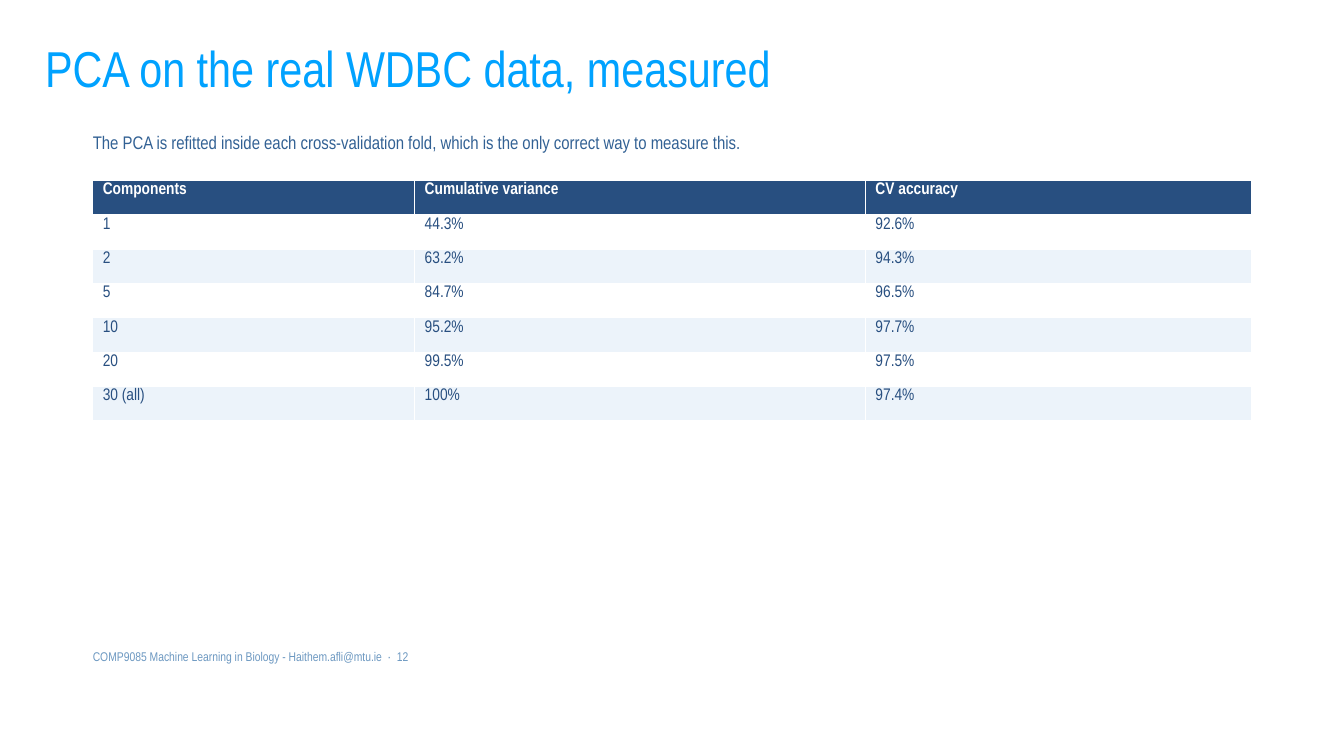
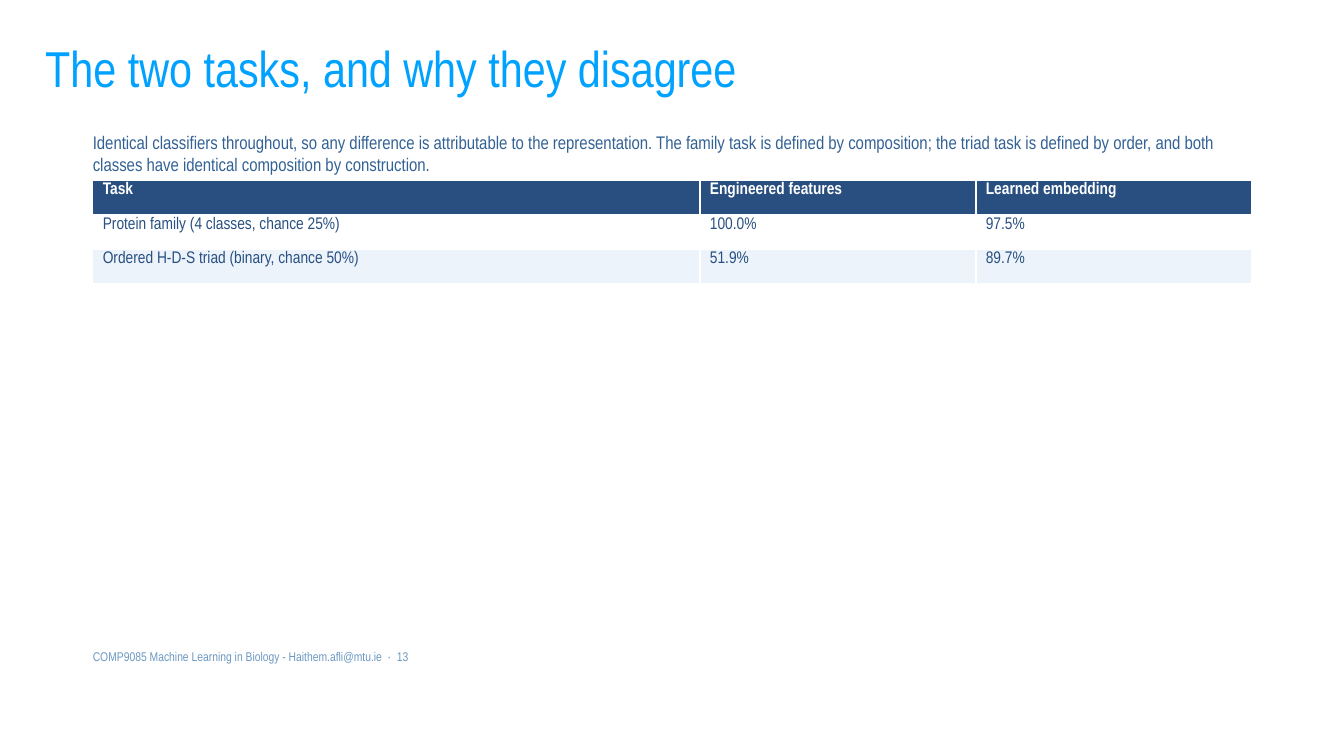
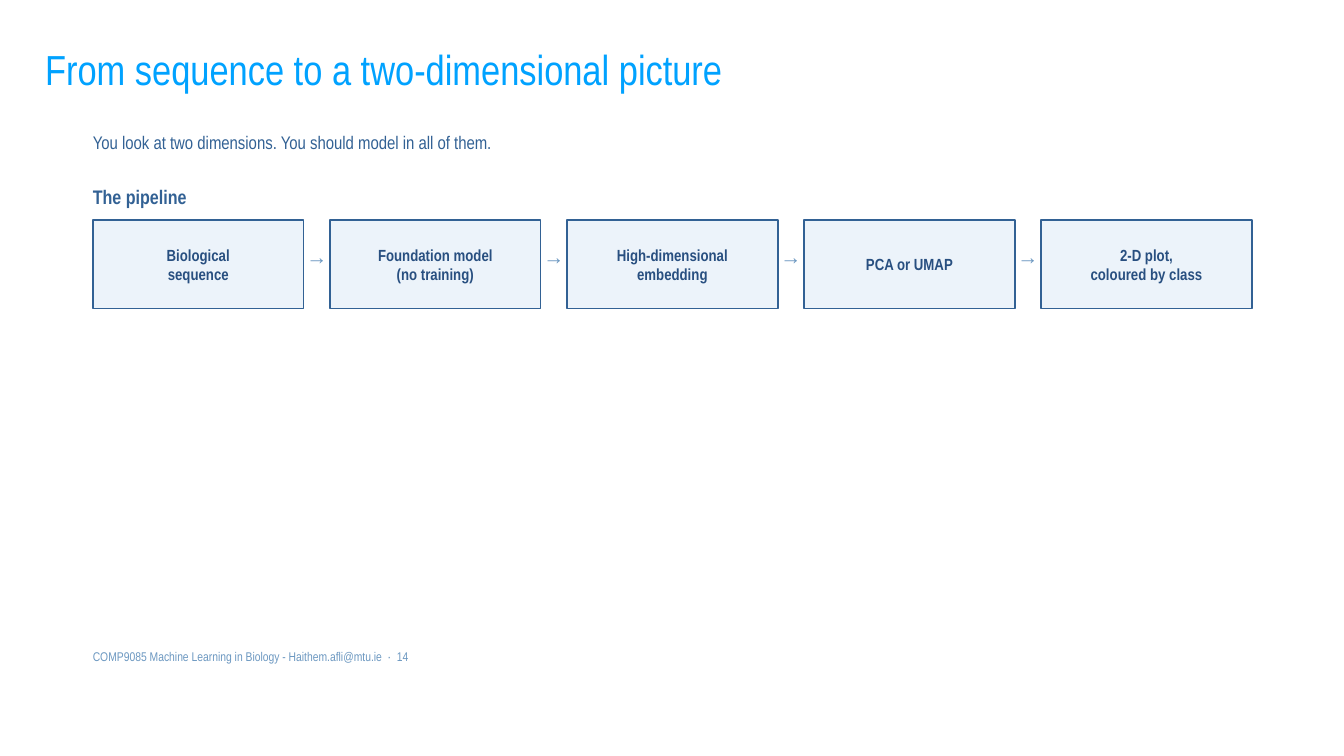
from dataclasses import dataclass

from pptx import Presentation
from pptx.dml.color import RGBColor
from pptx.enum.shapes import MSO_SHAPE
from pptx.enum.text import MSO_ANCHOR, MSO_AUTO_SIZE, PP_ALIGN
from pptx.slide import Slide
from pptx.text.text import TextFrame
from pptx.util import Cm, Pt

SKY = RGBColor(0x00, 0xA2, 0xFF)
NAVY = RGBColor(0x28, 0x4F, 0x80)
BLUE = RGBColor(0x32, 0x61, 0x94)
STEEL = RGBColor(0x6C, 0x98, 0xC1)
PALE = RGBColor(0xEC, 0xF3, 0xFA)
WHITE = RGBColor(0xFF, 0xFF, 0xFF)

FONT = "Arial Narrow"
MARGIN = 2.34
CONTENT_WIDTH = 29.21
FIRST_PAGE = 12
FOOTER = "COMP9085 Machine Learning in Biology - Haithem.afli@mtu.ie  ·  "


@dataclass(frozen=True)
class TextStyle:
    size: float
    color: RGBColor
    bold: bool = False
    align: PP_ALIGN = PP_ALIGN.LEFT


@dataclass(frozen=True)
class Frame:
    """A rectangle, in centimetres."""
    left: float
    top: float
    width: float
    height: float

    def lengths(self) -> tuple[Cm, Cm, Cm, Cm]:
        return Cm(self.left), Cm(self.top), Cm(self.width), Cm(self.height)


@dataclass(frozen=True)
class TableContent:
    """Rows with the header first; column weights share out the width."""
    weights: tuple[int, ...]
    rows: tuple[tuple[str, ...], ...]


@dataclass(frozen=True)
class Page:
    title: str
    lead: str
    content: TableContent | tuple[str, ...]
    title_size: int = 36


LEAD = TextStyle(13, BLUE)
FOOTNOTE = TextStyle(9, STEEL)
HEADING = TextStyle(14, BLUE, bold=True)
TABLE_HEADER = TextStyle(12, WHITE, bold=True)
TABLE_BODY = TextStyle(12, NAVY)
STEP = TextStyle(11.5, NAVY, bold=True, align=PP_ALIGN.CENTER)
ARROW = TextStyle(15, STEEL, bold=True, align=PP_ALIGN.CENTER)

PAGES = (
    Page(
        "PCA on the real WDBC data, measured",
        "The PCA is refitted inside each cross-validation fold, "
        "which is the only correct way to measure this.",
        TableContent((5, 7, 6), (
            ("Components", "Cumulative variance", "CV accuracy"),
            ("1", "44.3%", "92.6%"),
            ("2", "63.2%", "94.3%"),
            ("5", "84.7%", "96.5%"),
            ("10", "95.2%", "97.7%"),
            ("20", "99.5%", "97.5%"),
            ("30 (all)", "100%", "97.4%"),
        )),
    ),
    Page(
        "The two tasks, and why they disagree",
        "Identical classifiers throughout, so any difference is attributable "
        "to the representation. The family task is defined by composition; "
        "the triad task is defined by order, and both classes have identical "
        "composition by construction.",
        TableContent((11, 5, 5), (
            ("Task", "Engineered features", "Learned embedding"),
            ("Protein family (4 classes, chance 25%)", "100.0%", "97.5%"),
            ("Ordered H-D-S triad (binary, chance 50%)", "51.9%", "89.7%"),
        )),
    ),
    Page(
        "From sequence to a two-dimensional picture",
        "You look at two dimensions. You should model in all of them.",
        (
            "Biological\nsequence",
            "Foundation model\n(no training)",
            "High-dimensional\nembedding",
            "PCA or UMAP",
            "2-D plot,\ncoloured by class",
        ),
        title_size=30,
    ),
)


def write(text_frame: TextFrame, text: str, style: TextStyle) -> None:
    """Put each line of the text in its own paragraph."""
    for index, line in enumerate(text.split("\n")):
        paragraph = text_frame.add_paragraph() if index else text_frame.paragraphs[0]
        paragraph.alignment = style.align
        run = paragraph.add_run()
        run.text = line
        run.font.name = FONT
        run.font.size = Pt(style.size)
        run.font.bold = style.bold
        run.font.color.rgb = style.color


def add_text(slide: Slide, frame: Frame, text: str, style: TextStyle) -> None:
    """Add a text box without insets that grows with its text."""
    text_frame = slide.shapes.add_textbox(*frame.lengths()).text_frame
    text_frame.word_wrap = True
    text_frame.auto_size = MSO_AUTO_SIZE.SHAPE_TO_FIT_TEXT
    text_frame.margin_left = text_frame.margin_right = 0
    text_frame.margin_top = text_frame.margin_bottom = 0
    write(text_frame, text, style)


def add_title(slide: Slide, text: str, size: int) -> None:
    box = slide.shapes.add_textbox(*Frame(0.89, 0.41, 23.37, 2.79).lengths())
    text_frame = box.text_frame
    text_frame.word_wrap = True
    text_frame.vertical_anchor = MSO_ANCHOR.MIDDLE
    write(text_frame, text, TextStyle(size, SKY))
    text_frame.paragraphs[0].line_spacing = 0.9


def add_data_table(slide: Slide, content: TableContent) -> None:
    row_height = 0.865
    frame = Frame(MARGIN, 4.55, CONTENT_WIDTH, row_height * len(content.rows))
    table = slide.shapes.add_table(
        len(content.rows), len(content.weights), *frame.lengths()).table
    for column, weight in zip(table.columns, content.weights):
        column.width = Cm(CONTENT_WIDTH * weight / sum(content.weights))
    for row_index, values in enumerate(content.rows):
        table.rows[row_index].height = Cm(row_height)
        if row_index == 0:
            fill, style = NAVY, TABLE_HEADER
        else:
            fill, style = (WHITE if row_index % 2 else PALE), TABLE_BODY
        for column_index, value in enumerate(values):
            cell = table.cell(row_index, column_index)
            cell.fill.solid()
            cell.fill.fore_color.rgb = fill
            cell.margin_left = cell.margin_right = Cm(0.25)
            cell.margin_top = cell.margin_bottom = Cm(0.05)
            write(cell.text_frame, value, style)


def add_step(slide: Slide, frame: Frame, label: str) -> None:
    shape = slide.shapes.add_shape(MSO_SHAPE.RECTANGLE, *frame.lengths())
    shape.shadow.inherit = False
    shape.fill.solid()
    shape.fill.fore_color.rgb = PALE
    shape.line.color.rgb = BLUE
    shape.line.width = Pt(1.1)
    text_frame = shape.text_frame
    text_frame.word_wrap = True
    text_frame.vertical_anchor = MSO_ANCHOR.MIDDLE
    text_frame.margin_left = text_frame.margin_right = Cm(0.18)
    text_frame.margin_top = text_frame.margin_bottom = Cm(0.13)
    write(text_frame, label, STEP)


def add_pipeline(slide: Slide, labels: tuple[str, ...]) -> None:
    """Draw equal boxes across the content width with an arrow in each gap."""
    add_text(slide, Frame(MARGIN, 4.67, CONTENT_WIDTH, 0.76), "The pipeline", HEADING)
    gap = 0.66
    width = (CONTENT_WIDTH - gap * (len(labels) - 1)) / len(labels)
    for index, label in enumerate(labels):
        left = MARGIN + index * (width + gap)
        if index:
            add_text(slide, Frame(left - gap, 6.2, gap, 0.89), "→", ARROW)
        add_step(slide, Frame(left, 5.54, width, 2.24), label)


def add_page(presentation: Presentation, page: Page, number: int) -> None:
    slide = presentation.slides.add_slide(presentation.slide_layouts[6])
    add_title(slide, page.title, page.title_size)
    add_text(slide, Frame(MARGIN, 3.3, CONTENT_WIDTH, 0.86), page.lead, LEAD)
    add_text(slide, Frame(MARGIN, 16.36, 18.54, 0.66), f"{FOOTER}{number}", FOOTNOTE)
    if isinstance(page.content, TableContent):
        add_data_table(slide, page.content)
    else:
        add_pipeline(slide, page.content)


def main() -> None:
    presentation = Presentation()
    presentation.slide_width = Cm(33.87)
    presentation.slide_height = Cm(19.05)
    for number, page in enumerate(PAGES, start=FIRST_PAGE):
        add_page(presentation, page, number)
    presentation.save("out.pptx")


if __name__ == "__main__":
    main()
